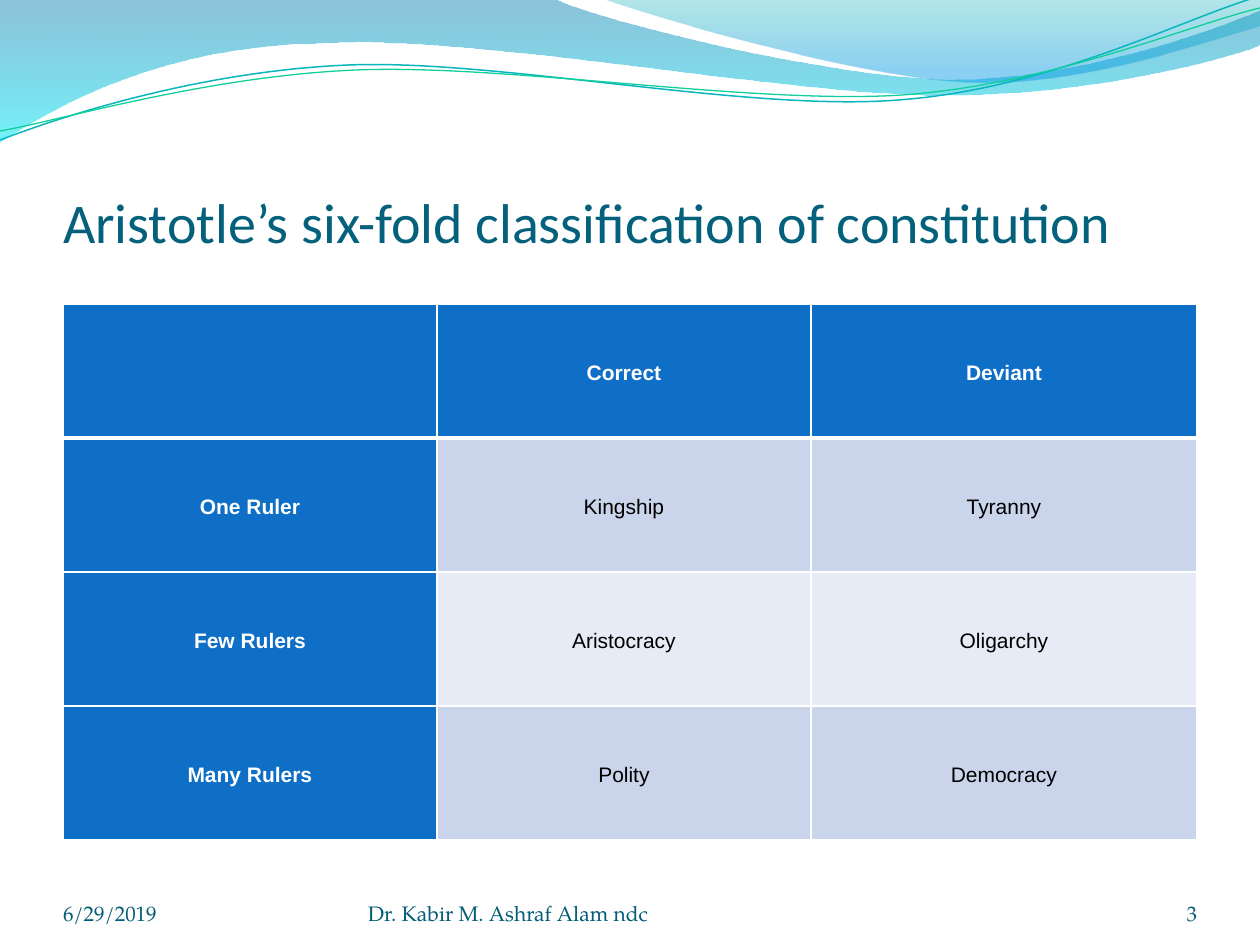
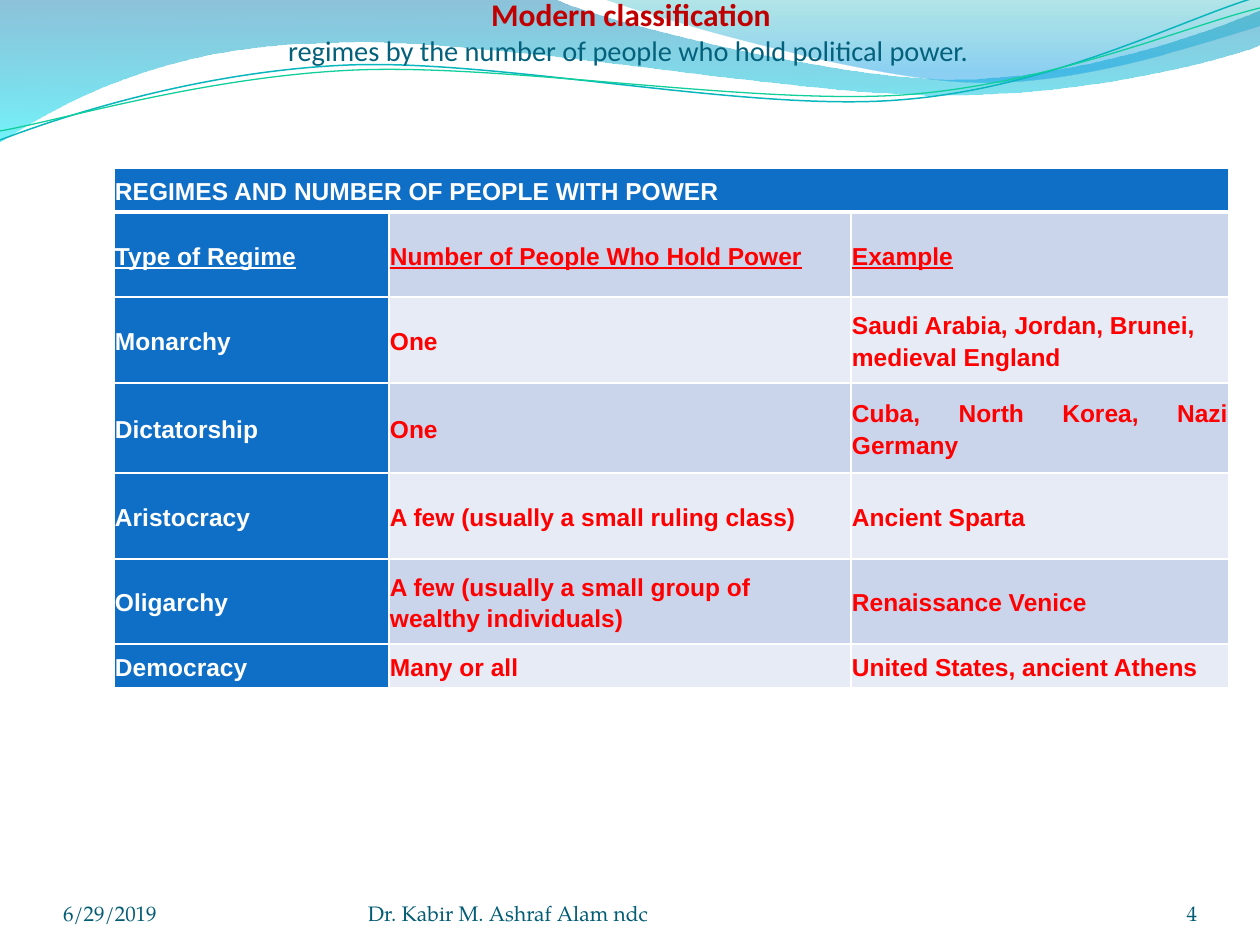
from lxml import etree
from pptx import Presentation
from pptx import util as u
from pptx.dml.color import RGBColor
from pptx.enum import text
from pptx.oxml.ns import qn

hue = RGBColor.from_string
ALIGN, ANCHOR = text.PP_ALIGN, text.MSO_ANCHOR
BLUE, PALE, LIGHT, WHITE = "0F6FC6", "CAD4EA", "E6EBF5", "FFFFFF"
TEAL, INK = "04617B", "035C75"


def px(n):
    """Turn pixels, 126 to the inch, into EMU."""
    return u.Emu(round(n * 914400 / 126))


def style(para, face, size, tint, align, bold=False, line=None):
    """Format a paragraph and all its runs."""
    para.alignment = align
    para.line_spacing = line
    for run in para.runs:
        run.font.name, run.font.size = face, u.Pt(size)
        run.font.bold, run.font.color.rgb = bold, hue(tint)


# A piece with one point is a straight line; with three points, a Bézier curve.
waves = [
    dict(start=(0, 0), fill=[("0079AD", 45, 0), ("00E9F7", 55, 1)], parts=[
        [(554, -1)],
        [(600, 21), (837, 79), (955, 79)], [(1075, 79), (1207, 33), (1260, 11)],
        [(1261, 45)],
        [(1239, 55), (1096, 96), (940, 95)], [(784, 95), (481, 35), (324, 43)],
        [(163, 45), (58, 105), (-1, 142)]]),
    dict(start=(603, -1), fill=[("00ABB4", 30, 0), ("0099E4", 45, 0.8)], parts=[
        [(641, 14), (859, 78), (969, 82)], [(1079, 87), (1211, 40), (1260, 26)],
        [(1260, 0)]]),
    dict(start=(0, 140), line=("09B6BE", 0.85), parts=[
        [(60, 117), (199, 71), (349, 65)], [(498, 59), (747, 112), (898, 100)],
        [(1050, 89), (1182, 19), (1257, -3)]]),
    dict(start=(0, 131), line=("10CF9B", 0.75), parts=[
        [(59, 121), (207, 76), (357, 70)], [(508, 64), (752, 105), (903, 95)],
        [(1053, 84), (1186, 26), (1260, 8)]]),
]

pages = [
    dict(number="3", box=(63, 97, 1134, 158), foot=0, align=ALIGN.LEFT,
         title=[("Aristotle’s six-fold classification of constitution", 32, TEAL, False)],
         at=(63, 304), cols=[374, 374, 386], rows=[134] * 4,
         inset=5, size=12, tint="000000", bold=False, just=ALIGN.CENTER,
         cells=[["", "Correct", "Deviant"],
                ["One Ruler", "Kingship", "Tyranny"],
                ["Few Rulers", "Aristocracy", "Oligarchy"],
                ["Many Rulers", "Polity", "Democracy"]]),
    dict(number="4", box=(113, 0, 1036, 105), foot=38, align=ALIGN.CENTER,
         title=[("Modern classification", 18, "C00000", True),
                ("regimes by the number of people who hold political power. ",
                 16.2, TEAL, False)],
         at=(114, 168), cols=[275, 462, 378], rows=[44, 85, 86, 90, 86, 85, 44],
         inset=1, size=14, tint="FF0000", bold=True, just=ALIGN.JUSTIFY,
         cells=[["REGIMES AND NUMBER OF PEOPLE WITH POWER", "", ""],
                ["Type of Regime", "Number of People Who Hold Power", "Example"],
                ["Monarchy", "One", "Saudi Arabia, Jordan, Brunei, \nmedieval England"],
                ["Dictatorship", "One", "Cuba, North Korea, Nazi Germany "],
                ["Aristocracy", "A few (usually a small ruling class)", "Ancient Sparta"],
                ["Oligarchy", "A few (usually a small group of \nwealthy individuals)",
                 "Renaissance Venice"],
                ["Democracy", "Many or all ", "United States, ancient Athens"]]),
]

deck = Presentation()
deck.slide_width, deck.slide_height = px(1260), px(945)
layout = deck.slide_layouts[5]

for page in pages:
    slide = deck.slides.add_slide(layout)

    # The waves are drawn once and moved to the layout, behind every slide.
    if page is pages[0]:
        for wave in waves:
            pen = slide.shapes.build_freeform(*map(px, wave["start"]))
            pen.add_line_segments([(px(x), px(y)) for part in wave["parts"] for x, y in part],
                                  close="fill" in wave)
            shape = pen.convert_to_shape()
            shape.shadow.inherit = False
            steps = iter(list(shape.element.iter(qn("a:lnTo"))))
            for part in wave["parts"]:
                first, *rest = [next(steps) for _ in part]
                if rest:
                    first.tag = qn("a:cubicBezTo")
                for step in rest:
                    first.append(step[0])
                    step.getparent().remove(step)
            if "fill" in wave:
                shape.line.fill.background()
                shape.fill.gradient()
                shape.fill.gradient_angle = 270
                for stop, (tint, _, place) in zip(shape.fill.gradient_stops, wave["fill"]):
                    stop.color.rgb, stop.position = hue(tint), place
                shades = shape.element.spPr.iter(qn("a:srgbClr"))
                for shade, (_, alpha, _) in zip(list(shades), wave["fill"]):
                    etree.SubElement(shade, qn("a:alpha"), val=str(alpha * 1000))
            else:
                shape.fill.background()
                shape.line.color.rgb = hue(wave["line"][0])
                shape.line.width = u.Pt(wave["line"][1])
            layout.shapes.element.append(shape.element)

    title = slide.shapes.title
    title.left, title.top, title.width, title.height = map(px, page["box"])
    frame = title.text_frame
    frame.text = "\v".join(item[0] for item in page["title"])
    frame.auto_size, frame.word_wrap = text.MSO_AUTO_SIZE.NONE, True
    frame.vertical_anchor = ANCHOR.BOTTOM
    frame.margin_left = frame.margin_right = 0
    frame.margin_top, frame.margin_bottom = px(0 if page["foot"] else 6), px(page["foot"])
    para = frame.paragraphs[0]
    style(para, "Calibri", 18, TEAL, page["align"])
    for run, (_, size, tint, bold) in zip(para.runs, page["title"]):
        run.font.size, run.font.bold = u.Pt(size), bold
        run.font.color.rgb = hue(tint)
    for gap in title.element.iter(qn("a:br")):
        etree.SubElement(gap, qn("a:rPr"), sz="1800")

    cols, rows = page["cols"], page["rows"]
    grid = slide.shapes.add_table(len(rows), len(cols), *map(px, page["at"]),
                                  px(sum(cols)), px(sum(rows))).table
    for col, width in zip(grid.columns, cols):
        col.width = px(width)
    for row, height in zip(grid.rows, rows):
        row.height = px(height)
    for r, row in enumerate(page["cells"]):
        for c, words in enumerate(row):
            cell = grid.cell(r, c)
            cell.text = words
            cell.vertical_anchor = ANCHOR.MIDDLE
            cell.margin_left = cell.margin_right = px(page["inset"])
            cell.margin_top = cell.margin_bottom = px(page["inset"])
            if r == 0:
                for edge, thick in zip(("lnL", "lnR", "lnT", "lnB"), (1, 1, 1, 3)):
                    rule = etree.SubElement(cell._tc.get_or_add_tcPr(), qn("a:" + edge),
                                            w=str(u.Pt(thick)))
                    paint = etree.SubElement(rule, qn("a:solidFill"))
                    etree.SubElement(paint, qn("a:srgbClr"), val=WHITE)
            head = r == 0 or c == 0
            cell.fill.solid()
            cell.fill.fore_color.rgb = hue(BLUE if head else PALE if r % 2 else LIGHT)
            for para in cell.text_frame.paragraphs:
                style(para, "Arial", page["size"], WHITE if head else page["tint"],
                      page["just"], head or page["bold"], 1.15)
    if not any(page["cells"][0][1:]):
        grid.cell(0, 0).merge(grid.cell(0, len(cols) - 1))
        for c in range(len(cols)):
            grid.cell(1, c).text_frame.paragraphs[0].runs[0].font.underline = True

    for words, left, width, align in [
            (page["number"], 1092, 105, ALIGN.RIGHT),
            ("6/29/2019", 63, 294, ALIGN.LEFT),
            ("Dr. Kabir M. Ashraf Alam ndc", 368, 462, ALIGN.LEFT)]:
        frame = slide.shapes.add_textbox(px(left), px(876), px(width), px(50)).text_frame
        frame.text, frame.word_wrap = words, True
        frame.vertical_anchor = ANCHOR.BOTTOM
        frame.margin_left = frame.margin_right = frame.margin_top = frame.margin_bottom = 0
        style(frame.paragraphs[0], "TeX Gyre Pagella", 12, INK, align)

deck.save("out.pptx")
